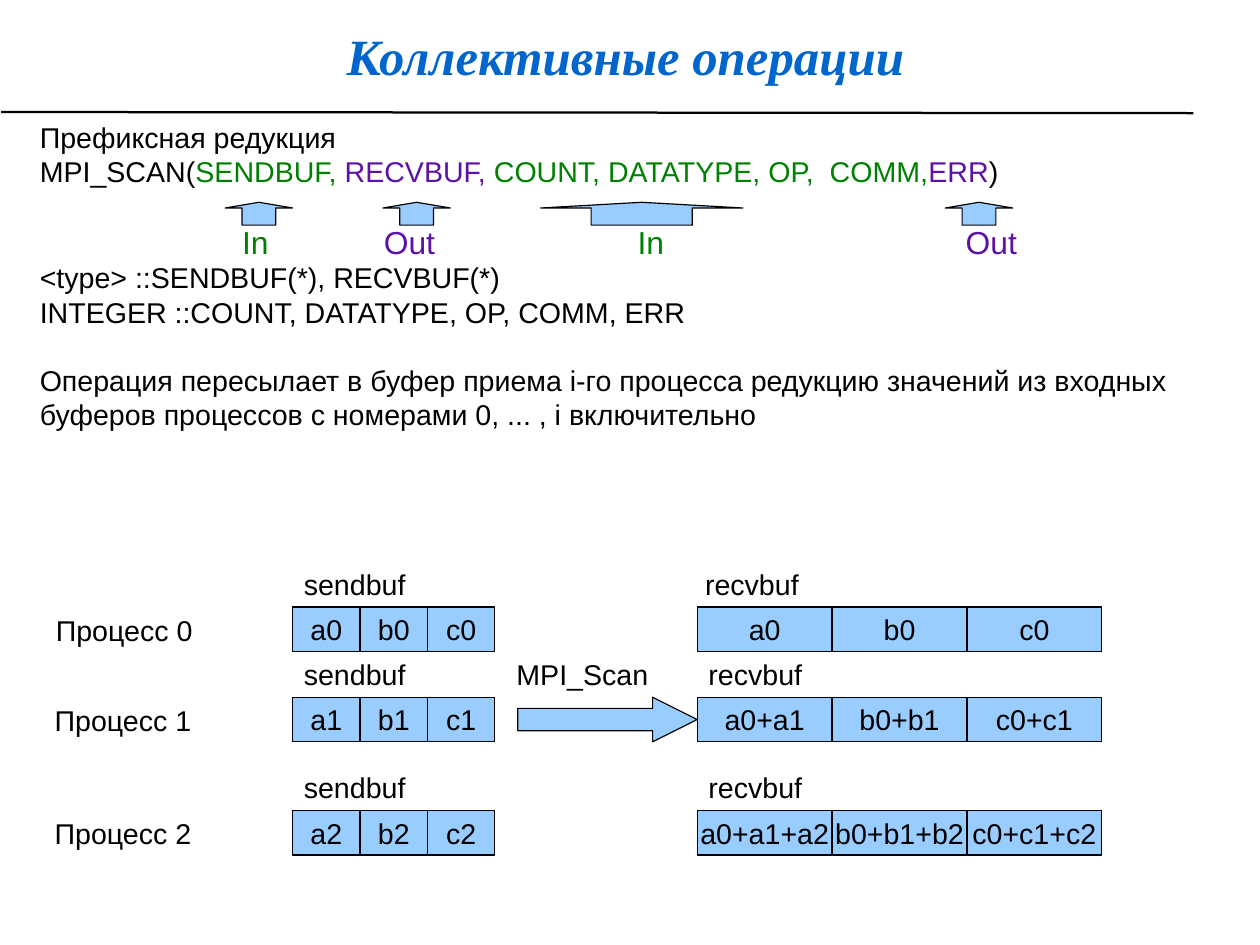
from lxml.etree import SubElement
from pptx import Presentation
from pptx.dml.color import RGBColor
from pptx.enum.shapes import MSO_CONNECTOR, MSO_SHAPE
from pptx.enum.text import MSO_ANCHOR, PP_ALIGN
from pptx.oxml.ns import qn
from pptx.util import Inches, Pt

MM_PER_INCH = 25.4
COLORS = {
    "black": "000000",
    "title": "0066CC",
    "input": "008000",
    "output": "5E11A6",
    "block": "99CCFF",
}
BODY_FONT = {"name": "Arial", "size": Pt(18)}
MARK_FONT = {"name": "Arial", "size": Pt(20)}
TITLE_FONT = {"name": "Times New Roman", "size": Pt(32), "bold": True, "italic": True}
BLANK_LINE = Pt(21.3)

SIGNATURE = [
    ("MPI_SCAN(", "black"),
    ("SENDBUF, ", "input"),
    ("RECVBUF,", "output"),
    (" COUNT, DATATYPE, OP,  COMM,", "input"),
    ("ERR", "output"),
    (")", "black"),
]
MARKS = [("In", "input", 1.77), ("Out", "output", 3.01),
         ("In", "input", 5.23), ("Out", "output", 8.1)]
DESCRIPTION = ("Операция пересылает в буфер приема i-го процесса редукцию значений "
               "из входных буферов процессов с номерами 0, ... , i включительно")
MARK_ARROWS = [(1.97, 0.59), (3.35, 0.59), (4.73, 1.77), (8.27, 0.59)]
PROCESSES = [(5.31, 0.39, 6.07), (6.1, 0.38, 6.1), (7.09, 0.38, 6.1)]
SEND_LEFT, SEND_WIDTH = 2.56, 0.59
RECV_LEFT, RECV_WIDTH = 6.1, 1.18
CELL_HEIGHT, LABEL_HEIGHT = 0.39, 0.4


def set_values(target, values):
    """Set attributes of an object from a dict."""
    for name, value in values.items():
        setattr(target, name, value)


def color(name):
    """Return a named colour."""
    return RGBColor.from_string(COLORS[name])


def add_runs(paragraph, pieces, font=BODY_FONT):
    """Write coloured pieces of text into a paragraph."""
    for text, color_name in pieces:
        run = paragraph.add_run()
        run.text = text
        set_values(run.font, font)
        run.font.color.rgb = color(color_name)


def add_text_frame(slide, left, top, width, height, wrap):
    """Add a text box and return its text frame."""
    box = slide.shapes.add_textbox(Inches(left), Inches(top), Inches(width), Inches(height))
    box.text_frame.word_wrap = wrap
    return box.text_frame


def add_label(slide, text, left, top, width):
    """Add a one-line label."""
    frame = add_text_frame(slide, left, top, width, LABEL_HEIGHT, False)
    add_runs(frame.paragraphs[0], [(text, "black")])


def add_block(slide, kind, left, top, width, height, adjustments=()):
    """Add a light blue outlined shape."""
    shape = slide.shapes.add_shape(kind, Inches(left), Inches(top), Inches(width), Inches(height))
    shape.shadow.inherit = False
    shape.fill.solid()
    shape.fill.fore_color.rgb = color("block")
    shape.line.color.rgb = color("black")
    shape.line.width = Pt(0.75)
    for index, value in enumerate(adjustments):
        shape.adjustments[index] = value
    return shape


def add_buffer(slide, values, left, top, width):
    """Add a row of buffer cells."""
    for index, value in enumerate(values):
        cell = add_block(slide, MSO_SHAPE.RECTANGLE, left + index * width, top, width, CELL_HEIGHT)
        set_values(cell.text_frame, {"word_wrap": False, "vertical_anchor": MSO_ANCHOR.MIDDLE})
        paragraph = cell.text_frame.paragraphs[0]
        paragraph.alignment = PP_ALIGN.CENTER
        add_runs(paragraph, [(value, "black")])


def add_title(slide):
    """Add the heading and the rule below it."""
    frame = add_text_frame(slide, 0, 0, 10.83, 0.82, True)
    set_values(frame, {
        "vertical_anchor": MSO_ANCHOR.MIDDLE,
        "margin_left": Inches(0.12), "margin_top": Inches(0.06),
        "margin_right": 0, "margin_bottom": 0,
    })
    paragraph = frame.paragraphs[0]
    set_values(paragraph, {"alignment": PP_ALIGN.CENTER, "line_spacing": 1.16})
    add_runs(paragraph, [("Коллективные операции", "title")], TITLE_FONT)

    rule = slide.shapes.add_connector(
        MSO_CONNECTOR.STRAIGHT, Inches(0.01), Inches(0.98), Inches(10.44), Inches(0.99))
    rule.line.color.rgb = color("black")
    rule.line.width = Pt(1.42)
    SubElement(rule._element.spPr, qn("a:effectLst"))


def add_tab_stops(paragraph, positions):
    """Give a paragraph left tab stops."""
    tab_list = SubElement(paragraph._p.get_or_add_pPr(), qn("a:tabLst"))
    for position in positions:
        SubElement(tab_list, qn("a:tab"), pos=str(Inches(position)), algn="l")


def add_body(slide):
    """Add the call signature, its argument marks and the description."""
    frame = add_text_frame(slide, 0.25, 1, 10.19, 3.92, True)
    lines = [
        [("Префиксная редукция", "black")],
        SIGNATURE,
        [("\t" + text, name) for text, name, _ in MARKS],
        [("<type> ::SENDBUF(*), RECVBUF(*)", "black")],
        [("INTEGER ::COUNT, DATATYPE, OP, COMM, ERR", "black")],
        [(DESCRIPTION, "black")],
    ]
    for index, pieces in enumerate(lines):
        paragraph = frame.add_paragraph() if index else frame.paragraphs[0]
        is_marks = index == 2
        if is_marks:
            add_tab_stops(paragraph, [position for _, _, position in MARKS])
        if is_marks or pieces is lines[-1]:
            paragraph.space_before = BLANK_LINE
        add_runs(paragraph, pieces, MARK_FONT if is_marks else BODY_FONT)
    for left, width in MARK_ARROWS:
        add_block(slide, MSO_SHAPE.UP_ARROW, left, 1.77, width, 0.2, (0.5, 0.25))


def add_process(slide, rank, top, name_left, recv_label_left):
    """Add the send and receive buffers of one process."""
    label_top = top - LABEL_HEIGHT
    add_label(slide, f"Процесс {rank}", name_left, top, 1.5)
    add_label(slide, "sendbuf", SEND_LEFT, label_top, 1.09)
    add_label(slide, "recvbuf", recv_label_left, label_top, 1.02)
    sent = [f"{letter}{rank}" for letter in "abc"]
    received = ["+".join(f"{letter}{index}" for index in range(rank + 1)) for letter in "abc"]
    add_buffer(slide, sent, SEND_LEFT, top, SEND_WIDTH)
    add_buffer(slide, received, RECV_LEFT, top, RECV_WIDTH)


def main():
    """Build and save the slide."""
    presentation = Presentation()
    presentation.slide_width = Inches(280 / MM_PER_INCH)
    presentation.slide_height = Inches(210 / MM_PER_INCH)
    slide = presentation.slides.add_slide(presentation.slide_layouts[6])
    add_title(slide)
    add_body(slide)
    for rank, (top, name_left, recv_label_left) in enumerate(PROCESSES):
        add_process(slide, rank, top, name_left, recv_label_left)
    add_label(slide, "MPI_Scan", 4.42, 5.7, 1.68)
    add_block(slide, MSO_SHAPE.RIGHT_ARROW, 4.53, 6.1, 1.57, CELL_HEIGHT, (0.5, 1))
    presentation.save("out.pptx")


if __name__ == "__main__":
    main()
